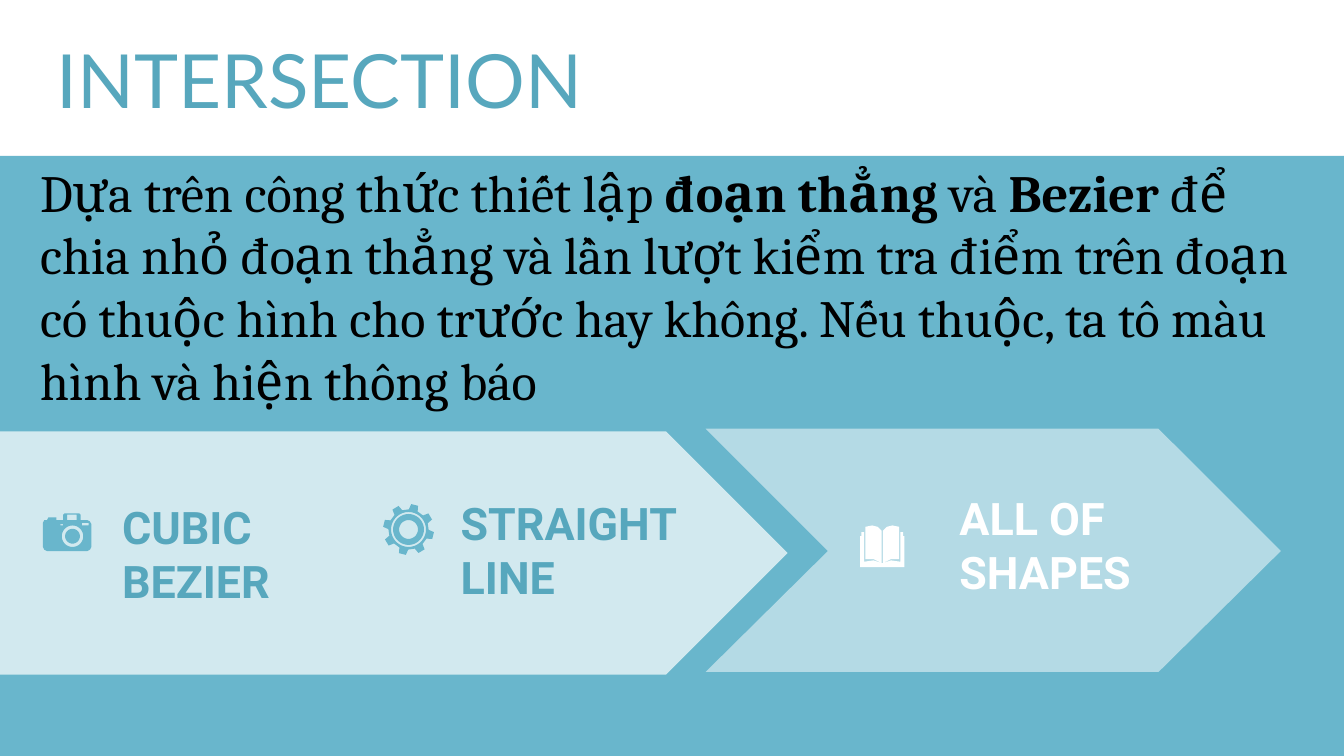
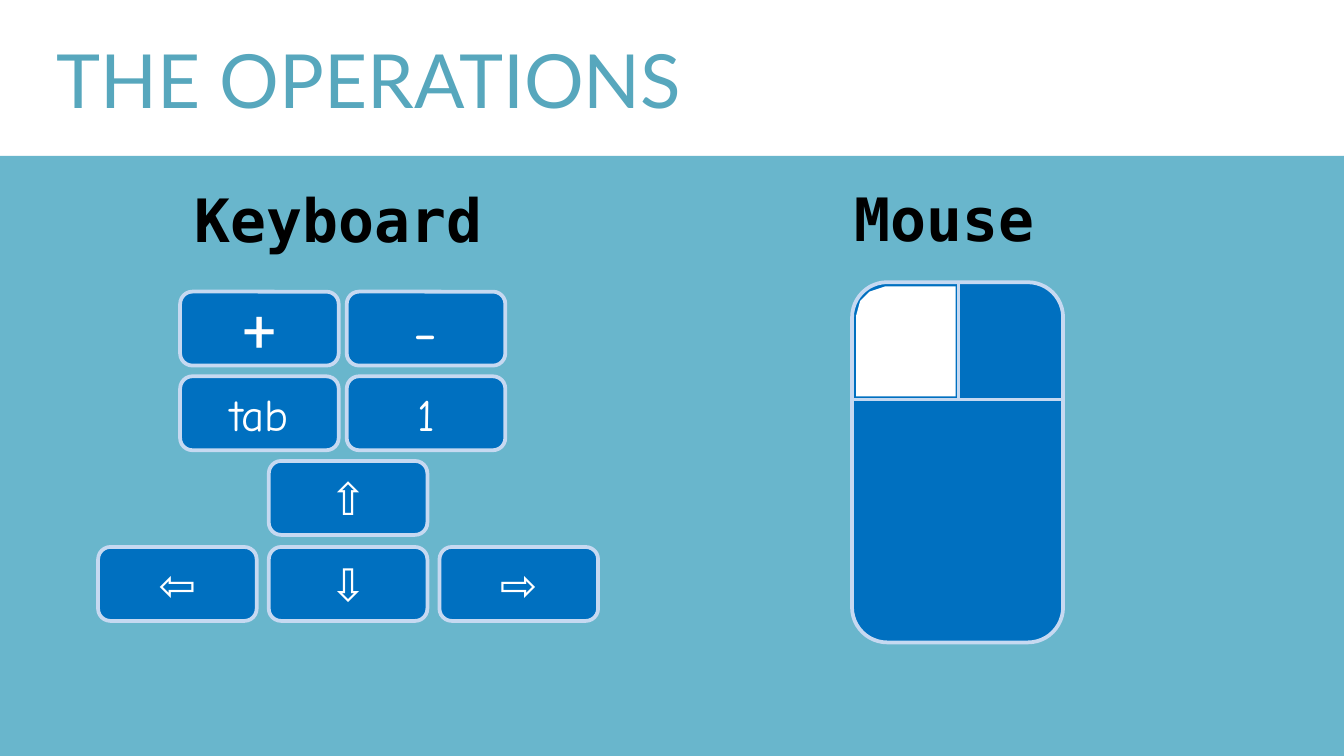
from math import cos, radians, sin

from lxml import etree
from pptx import Presentation
from pptx.dml.color import RGBColor
from pptx.enum.shapes import MSO_CONNECTOR, MSO_SHAPE
from pptx.enum.text import MSO_ANCHOR, MSO_AUTO_SIZE, PP_ALIGN
from pptx.oxml.ns import qn
from pptx.util import Pt

PX = 9144  # one px is a hundredth of an inch
WIDE = 1000 * PX
TALL = WIDE * 9 // 16

RECT, ROUND, PLATE = MSO_SHAPE.RECTANGLE, MSO_SHAPE.ROUNDED_RECTANGLE, MSO_SHAPE.PENTAGON
LINE = MSO_CONNECTOR.STRAIGHT
LEFT, MID = PP_ALIGN.LEFT, PP_ALIGN.CENTER
TOP, CENTER = MSO_ANCHOR.TOP, MSO_ANCHOR.MIDDLE
GROW, FIXED = MSO_AUTO_SIZE.SHAPE_TO_FIT_TEXT, MSO_AUTO_SIZE.NONE

HUES = {
    "band": "69B6CC",
    "title": "57A7BD",
    "key": "0070C0",
    "edge": "C6D9F1",
    "white": "FFFFFF",
    "black": "000000",
    "pale": "F2F2F2",
}

STEPS = [
    ("CUBIC BEZIER", 81, 367, "title"),
    ("STRAIGHT LINE", 333, 364, "title"),
    ("ALL OF SHAPES", 704, 360, "white"),
]

# Every second piece is bold
PROSE = [
    "Dựa trên công thức thiết lập ", "đoạn thẳng ", "và ", "Bezier ",
    "để chia nhỏ đoạn thẳng và lần lượt kiểm tra điểm trên đoạn có thuộc "
    "hình cho trước hay không. Nếu thuộc, ta tô màu hình và hiện thông báo",
]

# Rows of keys: left edge, pitch, then label, size and font of each key
KEYS = [
    (134, 124, [("+", 32, "Roboto"), ("-", 32, "Comic Neue")]),
    (134, 124, [("tab", 24, "Comic Neue"), ("1", 24, "Comic Neue")]),
    (200, 127, [("⇧", 24, "Arial")]),
    (73, 127, [(mark, 24, "Arial") for mark in "⇦⇩⇨"]),
]


def rgb(hue):
    return RGBColor.from_string(HUES[hue])


def outline(run, hue, width):
    """Outline the letters of a run."""
    line = etree.Element(qn("a:ln"), w=str(Pt(width)))
    fill = etree.SubElement(line, qn("a:solidFill"))
    etree.SubElement(fill, qn("a:srgbClr"), val=HUES[hue])
    run.font._element.insert(0, line)


def write(frame, parts, size, font, hue, bold=False, align=LEFT, anchor=TOP,
          fit=FIXED, rim=None, before=0, after=0):
    """Write one paragraph; in a list, every second part is bold."""
    frame.word_wrap = True
    frame.auto_size = fit
    frame.vertical_anchor = anchor
    para = frame.paragraphs[0]
    para.alignment = align
    para.space_before, para.space_after = Pt(before), Pt(after)
    for i, part in enumerate([parts] if isinstance(parts, str) else parts):
        run = para.add_run()
        run.text = part
        run.font.size, run.font.name = Pt(size), font
        run.font.bold = bold or i % 2 == 1
        run.font.color.rgb = rgb(hue)
        if rim:
            outline(run, *rim)


def paint(shape, hue, alpha=100, edge=None):
    shape.shadow.inherit = False
    shape.fill.solid()
    shape.fill.fore_color.rgb = rgb(hue)
    if alpha < 100:
        tint = shape._element.spPr.find(".//" + qn("a:srgbClr"))
        etree.SubElement(tint, qn("a:alpha"), val=str(alpha * 1000))
    if edge:
        shape.line.color.rgb = rgb(edge)
        shape.line.width = Pt(2)
    else:
        shape.line.fill.background()


def block(slide, kind, box, hue, **look):
    shape = slide.shapes.add_shape(kind, *(n * PX for n in box))
    paint(shape, hue, **look)
    return shape


def label(slide, box, parts, **form):
    area = slide.shapes.add_textbox(*(n * PX for n in box))
    write(area.text_frame, parts, fit=GROW, **form)


def rule(slide, x1, y1, x2, y2):
    line = slide.shapes.add_connector(LINE, x1 * PX, y1 * PX, x2 * PX, y2 * PX)
    line.line.color.rgb = rgb("edge")
    line.line.width = Pt(1.5)
    etree.SubElement(line._element.spPr, qn("a:effectLst"))


def trace(slide, loops, hue, **look):
    """Draw closed loops as one outline; inner loops cut holes."""
    loops = [[(x * PX, y * PX) for x, y in loop] for loop in loops]
    pen = slide.shapes.build_freeform(*loops[0][0], scale=1)
    for i, loop in enumerate(loops):
        if i:
            pen.move_to(*loop[0])
        pen.add_line_segments(loop[1:], close=True)
    paint(pen.convert_to_shape(), hue, **look)


def polar(x, y, size, angle):
    turn = radians(angle)
    return x + size * cos(turn), y + size * sin(turn)


def ring(x, y, size):
    return [polar(x, y, size, angle) for angle in range(0, 360, 10)]


def frame(x1, y1, x2, y2):
    return [(x1, y1), (x2, y1), (x2, y2), (x1, y2)]


def gear(slide):
    x, y = 304, 394
    teeth = [polar(x, y, size, -76 + 45 * n + turn)
             for n in range(8)
             for size, turn in ((15, -13), (19, -8), (19, 8), (15, 13))]
    trace(slide, [teeth] + [ring(x, y, size) for size in (13, 11.5, 7)], "band")


def book(slide):
    mid = 656.5
    page = [(644, 392), (649, 391), (653, 392), (656, 395), (656, 419),
            (650, 416), (644, 416)]
    half = [(656, 419), (650, 417), (643, 418), (643, 396), (641, 396),
            (641, 399), (640, 399), (640, 422)]

    def flip(loop):
        return [(2 * mid - x, y) for x, y in loop]

    trace(slide, [page, flip(page), half + flip(half)[::-1]], "white")


def camera(slide):
    body = [(32, 389), (33, 387), (35, 387), (36, 385), (42, 385), (42, 387),
            (47, 387), (47, 383), (48, 382), (59, 382), (60, 383), (60, 387),
            (65, 387), (67, 388), (68, 390), (68, 407), (67, 409), (65, 410),
            (35, 410), (33, 409), (32, 407)]
    holes = [frame(45, 390, 47, 391), frame(61, 389, 66, 391),
             frame(50, 383, 57, 387)]
    trace(slide, [body, ring(54, 399, 8), ring(54, 399, 5.5)] + holes, "band")


def start(deck, title):
    """Add a slide with the shared band and title."""
    slide = deck.slides.add_slide(deck.slide_layouts[5])
    block(slide, RECT, (0, 116, 1000, 447), "band")
    head = slide.shapes.title
    head.left, head.top, head.width, head.height = (
        n * PX for n in (32, 27, 965, 63))
    write(head.text_frame, title, size=40, font="Lato", hue="title",
          anchor=CENTER, rim=("white", 2.25), before=8)
    return slide


def cross(deck):
    slide = start(deck, "INTERSECTION")
    # Arrow bands
    trace(slide, [[(525, 319), (862, 319), (953, 410), (862, 500), (525, 500),
                   (616, 410)]], "white", alpha=50)
    block(slide, PLATE, (-1, 321, 587, 181), "white", alpha=70)
    # Icons and their labels
    gear(slide)
    book(slide)
    camera(slide)
    for text, x, y, hue in STEPS:
        label(slide, (x, y, 206, 91), text, size=24, font="Roboto", hue=hue,
              bold=True)
    label(slide, (20, 114, 977, 199), PROSE, size=28, font="Cambria", hue="black")


def inputs(deck):
    slide = start(deck, "THE OPERATIONS")
    # Keyboard
    for row, (left, pitch, keys) in enumerate(KEYS):
        for col, (text, size, font) in enumerate(keys):
            box = (left + col * pitch, 217 + row * 190 // 3, 118, 55)
            key = block(slide, ROUND, box, "key", edge="edge")
            write(key.text_frame, text, size=size, font=font, hue="white",
                  align=MID, anchor=CENTER)
    # Mouse with its left button lit
    block(slide, ROUND, (634, 210, 157, 268), "key", edge="edge")
    rule(slide, 634, 297, 792, 297)
    rule(slide, 713, 210, 713, 297)
    trace(slide, [[(637, 235), (637, 295), (711, 295), (711, 213), (659, 213),
                   (647, 217), (640, 224)]], "white")
    # Headings
    for text, box in (("Keyboard", (135, 131, 260, 64)),
                      ("Mouse", (626, 130, 197, 64))):
        label(slide, box, text, size=32, font="DejaVu Sans Mono", hue="black",
              bold=True, rim=("pale", 0.75), after=8)


def main():
    deck = Presentation()
    deck.slide_width, deck.slide_height = WIDE, TALL
    cross(deck)
    inputs(deck)
    deck.save("out.pptx")


if __name__ == "__main__":
    main()
